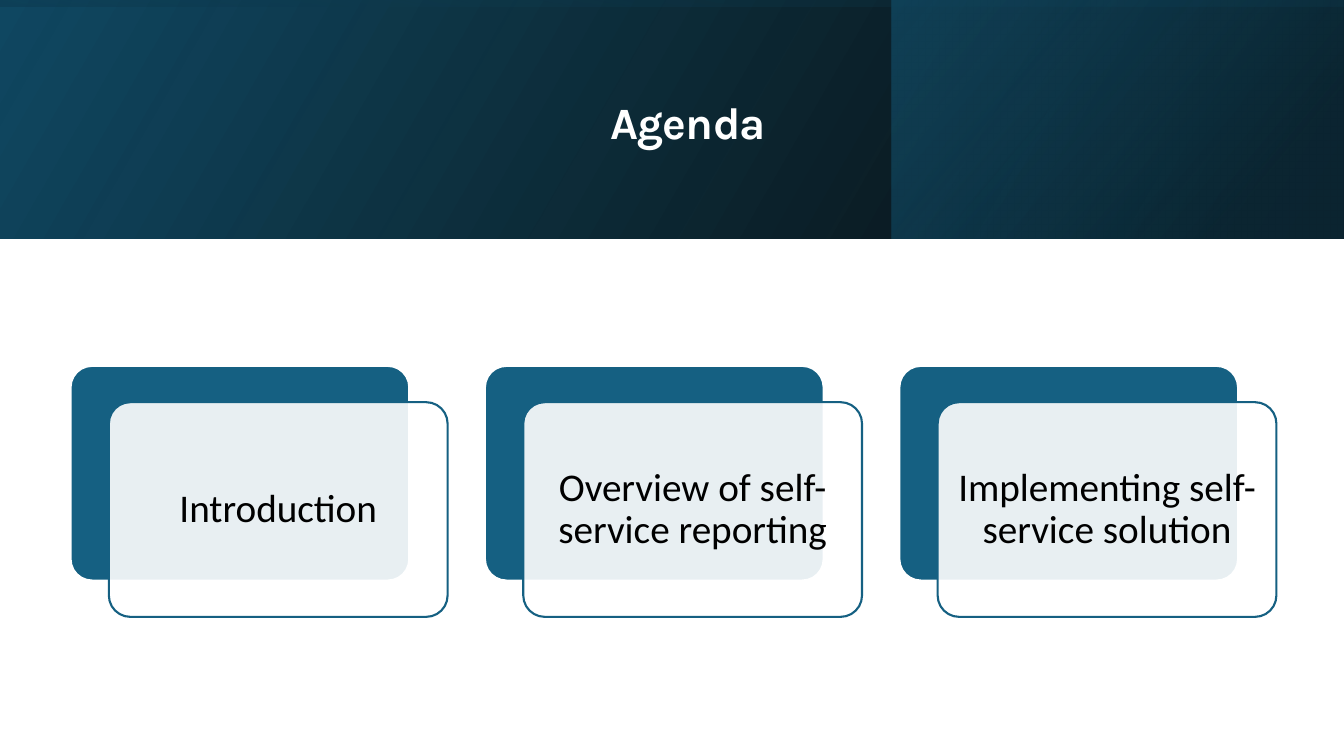
"""Builds the agenda slide: a gradient header band above three layered topic cards."""
from dataclasses import dataclass

from lxml.etree import SubElement
from pptx import Presentation
from pptx.dml.color import RGBColor
from pptx.enum.shapes import MSO_SHAPE
from pptx.enum.text import MSO_ANCHOR, PP_ALIGN
from pptx.oxml import parse_xml
from pptx.oxml.ns import nsdecls, qn
from pptx.util import Inches, Pt

SLIDE_WIDTH, SLIDE_HEIGHT, HEADER_HEIGHT = 13.33, 7.5, 2.37
TEAL, WHITE, BLACK = "156082", "FFFFFF", "000000"
CARD_WIDTH, CARD_HEIGHT, CARD_PITCH = 3.36, 2.13, 4.11
CARD_LEFT, CARD_TOP = 0.7, 3.63
FRONT_SHIFT_X, FRONT_SHIFT_Y = 0.38, 0.36
CARD_INSET = 0.12


@dataclass
class Stop:
    position: int
    color: str
    opacity: int


@dataclass
class Band:
    left: float
    top: float
    width: float
    height: float
    angle: int
    stops: list[Stop]
    rotation: int = 0


BANDS = [
    Band(0, 0, SLIDE_WIDTH, HEADER_HEIGHT, 330,
         [Stop(0, BLACK, 96), Stop(100, "104862", 100)]),
    Band(8.84, 0, 4.48, HEADER_HEIGHT, 320,
         [Stop(19, "0B3041", 68), Stop(100, TEAL, 48)]),
    Band(5.48, -5.48, HEADER_HEIGHT, SLIDE_WIDTH, 350,
         [Stop(23, "104862", 16), Stop(99, BLACK, 45)], 270),
]
TOPICS = [
    "Introduction",
    "Overview of self-service reporting",
    "Implementing self-service solution",
]


def rgb(color: str) -> RGBColor:
    return RGBColor.from_string(color)


def add_band(slide, band: Band) -> None:
    strip = slide.shapes.add_shape(
        MSO_SHAPE.RECTANGLE, Inches(band.left), Inches(band.top),
        Inches(band.width), Inches(band.height))
    strip.shadow.inherit = False
    strip.line.fill.background()
    strip.rotation = band.rotation
    properties = strip._element.spPr
    properties.find(qn("a:xfrm")).set("flipH", "1")
    stops = "".join(
        f'<a:gs pos="{stop.position * 1000}"><a:srgbClr val="{stop.color}">'
        f'<a:alpha val="{stop.opacity * 1000}"/></a:srgbClr></a:gs>'
        for stop in band.stops)
    gradient = parse_xml(
        f'<a:gradFill {nsdecls("a")} rotWithShape="1"><a:gsLst>{stops}</a:gsLst>'
        f'<a:lin ang="{band.angle * 60000}" scaled="0"/></a:gradFill>')
    properties.find(qn("a:prstGeom")).addnext(gradient)


def add_panel(slide, left: float, top: float, fill: str, line: str):
    panel = slide.shapes.add_shape(
        MSO_SHAPE.ROUNDED_RECTANGLE, Inches(left), Inches(top),
        Inches(CARD_WIDTH), Inches(CARD_HEIGHT))
    panel.adjustments[0] = 0.1
    panel.shadow.inherit = False
    panel.fill.solid()
    panel.fill.fore_color.rgb = rgb(fill)
    panel.line.color.rgb = rgb(line)
    panel.line.width = Pt(1.5)
    return panel


def write_centred(frame, text: str, font: str, size: int, color: str):
    frame.text = text
    frame.word_wrap = True
    frame.vertical_anchor = MSO_ANCHOR.MIDDLE
    paragraph = frame.paragraphs[0]
    paragraph.alignment = PP_ALIGN.CENTER
    paragraph.line_spacing = 0.9
    run = paragraph.runs[0]
    run.font.name = font
    run.font.size = Pt(size)
    run.font.color.rgb = rgb(color)
    return run


def add_card(slide, left: float, topic: str) -> None:
    add_panel(slide, left, CARD_TOP, TEAL, WHITE)
    front = add_panel(slide, left + FRONT_SHIFT_X, CARD_TOP + FRONT_SHIFT_Y, WHITE, TEAL)
    tint = front._element.spPr.find(qn("a:solidFill")).find(qn("a:srgbClr"))
    SubElement(tint, qn("a:alpha")).set("val", "90000")
    frame = front.text_frame
    frame.margin_left = frame.margin_right = Inches(CARD_INSET)
    frame.margin_top = frame.margin_bottom = Inches(CARD_INSET)
    write_centred(frame, topic, "Calibri", 28, BLACK)


def place_title(slide) -> None:
    title = slide.shapes.title
    title.left, title.top = Inches(1.51), Inches(0.38)
    title.width, title.height = Inches(10.63), Inches(1.72)
    run = write_centred(title.text_frame, "Agenda", "Karla", 32, WHITE)
    run.font.bold = True
    run._r.get_or_add_rPr().set("spc", "-50")
    slide.shapes._spTree.append(title._element)


def main() -> None:
    deck = Presentation()
    deck.slide_width, deck.slide_height = Inches(SLIDE_WIDTH), Inches(SLIDE_HEIGHT)
    slide = deck.slides.add_slide(deck.slide_layouts[5])
    slide.background.fill.solid()
    slide.background.fill.fore_color.rgb = rgb(WHITE)
    for band in BANDS:
        add_band(slide, band)
    place_title(slide)
    for index, topic in enumerate(TOPICS):
        add_card(slide, CARD_LEFT + index * CARD_PITCH, topic)
    deck.save("out.pptx")


if __name__ == "__main__":
    main()
